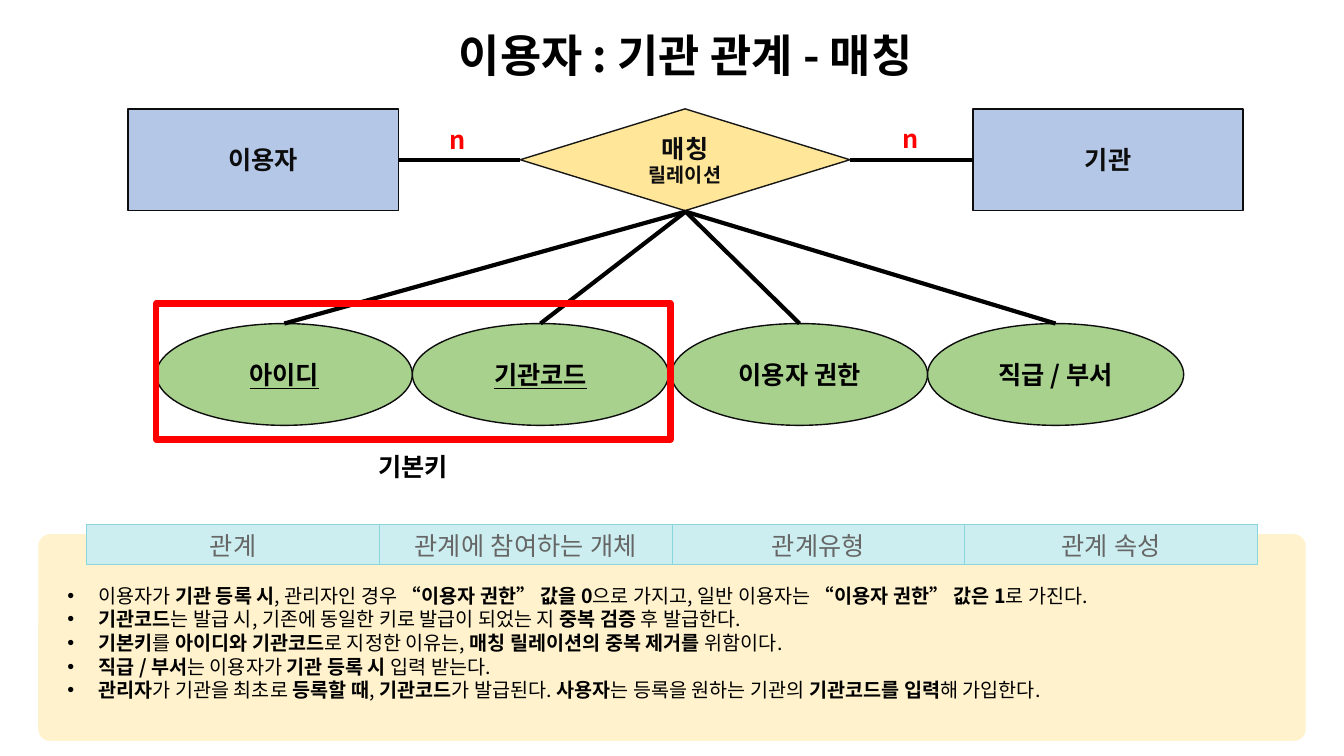
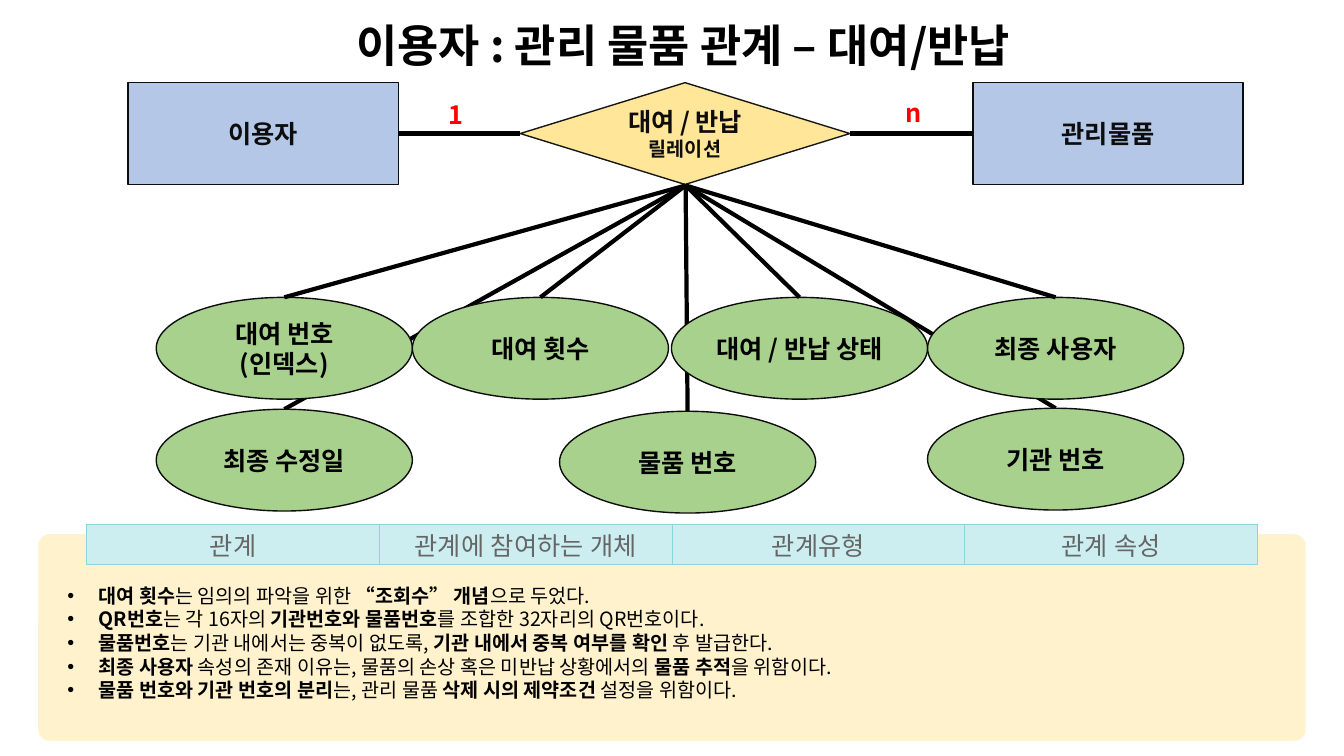
from dataclasses import dataclass

import pptx
import pptx.dml.color
import pptx.enum.shapes
import pptx.enum.text
import pptx.oxml
import pptx.oxml.ns
import pptx.util
from lxml import etree

Inches, Pt = pptx.util.Inches, pptx.util.Pt
RGB = pptx.dml.color.RGBColor
SHAPE = pptx.enum.shapes.MSO_SHAPE
ALIGN = pptx.enum.text.PP_ALIGN
ANCHOR = pptx.enum.text.MSO_ANCHOR
qn = pptx.oxml.ns.qn

# Shared style
BLACK = RGB(0x00, 0x00, 0x00)
INK = RGB(0x0D, 0x0D, 0x0D)
DIAMOND_EDGE = RGB(0x18, 0x17, 0x17)
RED = RGB(0xFF, 0x00, 0x00)
BLUE = RGB(0xB4, 0xC7, 0xE7)
YELLOW = RGB(0xFF, 0xE6, 0x99)
GREEN = RGB(0xA9, 0xD1, 0x8E)
CREAM = RGB(0xFF, 0xF2, 0xCC)
AQUA = RGB(0xCD, 0xEE, 0xF0)
AQUA_EDGE = RGB(0x89, 0xD7, 0xDC)
GREY = RGB(0x66, 0x66, 0x66)
FONT, TABLE_FONT = "Noto Sans CJK KR", "Noto Sans"
LINE_PITCH = 1.21

# Shared geometry
NODE_H = 1.01
ENTITY_W, DIAMOND_W, OVAL_W, LABEL_W = 2.68, 3.27, 2.54, 3.11
USER_X, DIAMOND_X, TARGET_X = 1.27, 5.16, 9.65
HUB_X = 6.8
OVAL_XS = (1.55, 4.09, 6.66, 9.2)
OVAL_DROP = 2.13
HEADERS = ("관계", "관계에 참여하는 개체", "관계유형", "관계 속성")


@dataclass
class Box:
    x: float
    y: float
    w: float
    h: float

    def emu(self) -> list:
        return [Inches(v) for v in (self.x, self.y, self.w, self.h)]


@dataclass
class Attribute:
    lines: tuple
    x: float
    y: float
    key: bool = False


@dataclass
class Cardinality:
    text: str
    x: float
    y: float


@dataclass
class Relation:
    title: str
    title_box: Box
    top: float
    name: str
    target: str
    cardinalities: tuple
    attributes: tuple
    notes: tuple  # bold parts stand between asterisks
    lower: tuple = ()
    key_label: str = ""


def attribute_row(top: float, *texts: str, keys: int = 0) -> tuple:
    return tuple(Attribute(tuple(t.split("\n")), x, top + OVAL_DROP, i < keys)
                 for i, (t, x) in enumerate(zip(texts, OVAL_XS)))


RELATIONS = (
    Relation(
        "이용자 : 기관 관계 - 매칭", Box(4.01, 0.22, 5.58, 0.64), 1.08, "매칭", "기관",
        (Cardinality("n", 4.36, 1.18), Cardinality("n", 8.85, 1.17)),
        attribute_row(1.08, "아이디", "기관코드", "이용자 권한", "직급 / 부서", keys=2),
        ("이용자가 *기관 등록 시*, 관리자인 경우 *“이용자 권한” 값을 0*으로 가지고, "
         "일반 이용자는 *“이용자 권한” 값은 1*로 가진다.",
         "*기관코드*는 발급 시, 기존에 동일한 키로 발급이 되었는 지 *중복 검증* 후 발급한다.",
         "*기본키*를 *아이디와 기관코드*로 지정한 이유는, *매칭 릴레이션의 중복 제거를 *위함이다.",
         "*직급 / 부서*는 이용자가 *기관 등록 시 *입력 받는다.",
         "*관리자*가 기관을 최초로 *등록할 때*, *기관코드*가 발급된다. "
         "*사용자*는 등록을 원하는 기관의 *기관코드를 입력*해 가입한다."),
        key_label="기본키",
    ),
    Relation(
        "이용자 : 관리 물품 관계 – 대여/반납", Box(2.55, 0.12, 8.45, 0.64), 0.82,
        "대여 / 반납", "관리물품",
        (Cardinality("1", 4.35, 0.93), Cardinality("n", 8.88, 0.91)),
        attribute_row(0.82, "대여 번호\n(인덱스)", "대여 횟수", "대여 / 반납 상태", "최종 사용자"),
        ("*대여 횟수*는 임의의 파악을 위한 *“조회수” 개념*으로 두었다.",
         "*QR번호*는 각 16자의 *기관번호와 물품번호*를 조합한 32자리의 QR번호이다.",
         "*물품번호*는 기관 내에서는 중복이 없도록, *기관 내에서 중복 여부를 확인 *후 발급한다.",
         "*최종 사용자* 속성의 존재 이유는, 물품의 손상 혹은 미반납 상황에서의 *물품 추적*을 위함이다.",
         "*물품 번호와 기관 번호의 분리*는, 관리 물품 *삭제 시의 제약조건* 설정을 위함이다."),
        lower=(Attribute(("최종 수정일",), 1.55, 4.06),
               Attribute(("물품 번호",), 5.55, 4.08),
               Attribute(("기관 번호",), 9.2, 4.05)),
    ),
)


# Text
def add_run(p, text: str, size: float, color: RGB, bold: bool = True,
            underline: bool = False, font: str = FONT) -> None:
    r = p.add_run()
    r.text = text
    r.font.name, r.font.size = font, Pt(size)
    r.font.bold, r.font.color.rgb = bold, color
    if underline:
        r.font.underline = True
    ea = etree.SubElement(r.font._element, qn("a:ea"))
    ea.set("typeface", font)


def next_paragraph(tf, index: int, size: float, align: ALIGN):
    p = tf.paragraphs[0] if index == 0 else tf.add_paragraph()
    p.alignment = align
    p.line_spacing = Pt(round(size * LINE_PITCH, 1))
    return p


def fill_text(tf, lines: tuple, sizes: tuple, color: RGB, align: ALIGN = ALIGN.CENTER,
              underline: bool = False) -> None:
    for i, (line, size) in enumerate(zip(lines, sizes)):
        add_run(next_paragraph(tf, i, size, align), line, size, color, underline=underline)


def add_label(s, box: Box, lines: tuple, size: float = 18, color: RGB = BLACK,
              align: ALIGN = ALIGN.CENTER, wrap: bool = True, underline: bool = False) -> None:
    tf = s.shapes.add_textbox(*box.emu()).text_frame
    tf.word_wrap = wrap
    fill_text(tf, lines, (size,) * len(lines), color, align, underline)


# Shapes
def add_node(s, kind: SHAPE, box: Box, fill: RGB | None = None, edge: RGB | None = INK,
             width: float = 1):
    sp = s.shapes.add_shape(kind, *box.emu())
    sp.shadow.inherit = False
    if fill is None:
        sp.fill.background()
    else:
        sp.fill.solid()
        sp.fill.fore_color.rgb = fill
    if edge is None:
        sp.line.fill.background()
    else:
        sp.line.color.rgb, sp.line.width = edge, Pt(width)
    return sp


def add_named_node(s, kind: SHAPE, box: Box, fill: RGB, lines: tuple,
                   edge: RGB = INK) -> None:
    tf = add_node(s, kind, box, fill, edge).text_frame
    tf.word_wrap = True
    tf.vertical_anchor = ANCHOR.MIDDLE
    fill_text(tf, lines, (18, 14), INK)


def add_line(s, x1: float, y1: float, x2: float, y2: float) -> None:
    c = s.shapes.add_connector(pptx.enum.shapes.MSO_CONNECTOR.STRAIGHT,
                               Inches(x1), Inches(y1), Inches(x2), Inches(y2))
    c.line.color.rgb, c.line.width = BLACK, Pt(3)
    etree.SubElement(c._element.spPr, qn("a:effectLst"))


def add_attributes(s, attributes: tuple) -> None:
    for a in attributes:
        add_node(s, SHAPE.OVAL, Box(a.x, a.y, OVAL_W, NODE_H), GREEN)
        h = 0.1 + 0.3 * len(a.lines)
        box = Box(a.x + (OVAL_W - LABEL_W) / 2, a.y + (NODE_H - h) / 2, LABEL_W, h)
        add_label(s, box, a.lines, underline=a.key)


def add_spokes(s, top: float, attributes: tuple) -> None:
    for a in attributes:
        add_line(s, HUB_X, top + NODE_H + 0.01, a.x + OVAL_W / 2, a.y)


# Notes panel with its header table
def add_header_table(s) -> None:
    gf = s.shapes.add_table(1, len(HEADERS), *Box(0.86, 5.2, 11.61, 0.4).emu())
    for cell, text in zip(gf.table.rows[0].cells, HEADERS):
        cell.vertical_anchor = ANCHOR.MIDDLE
        cell.margin_top, cell.margin_bottom = Inches(0.03), 0
        p = cell.text_frame.paragraphs[0]
        p.alignment = ALIGN.CENTER
        add_run(p, text, 18, GREY, bold=False, font=TABLE_FONT)
        tcPr = cell._tc.get_or_add_tcPr()
        for side in ("a:lnL", "a:lnR", "a:lnT", "a:lnB"):
            ln = etree.SubElement(tcPr, qn(side), w=str(Pt(0.6)))
            solid = etree.SubElement(ln, qn("a:solidFill"))
            etree.SubElement(solid, qn("a:srgbClr"), val=str(AQUA_EDGE))
        cell.fill.solid()
        cell.fill.fore_color.rgb = AQUA


def add_notes(s, notes: tuple) -> None:
    panel = add_node(s, SHAPE.ROUNDED_RECTANGLE, Box(0.38, 5.3, 12.57, 2.05), CREAM, None)
    panel.adjustments[0] = 0.057
    add_header_table(s)
    tf = s.shapes.add_textbox(*Box(0.57, 5.74, 12.17, 1.75).emu()).text_frame
    tf.word_wrap = True
    for i, note in enumerate(notes):
        p = next_paragraph(tf, i, 14, ALIGN.LEFT)
        pPr = p._p.get_or_add_pPr()
        pPr.set("marL", str(Inches(0.31)))
        pPr.set("indent", str(Inches(-0.31)))
        etree.SubElement(pPr, qn("a:buFont"), typeface="Arial")
        etree.SubElement(pPr, qn("a:buChar"), char="•")
        for j, part in enumerate(note.split("*")):
            if part:
                add_run(p, part, 14, BLACK, bold=j % 2 == 1)


def add_relation(prs, rel: Relation) -> None:
    s = prs.slides.add_slide(prs.slide_layouts[6])
    add_label(s, rel.title_box, (rel.title,), size=32)
    add_notes(s, rel.notes)

    # Entities and the relation between them
    top, mid = rel.top, rel.top + NODE_H / 2
    add_spokes(s, top, rel.lower)
    add_named_node(s, SHAPE.DIAMOND, Box(DIAMOND_X, top, DIAMOND_W, NODE_H), YELLOW,
                   (rel.name, "릴레이션"), DIAMOND_EDGE)
    for x, name in ((USER_X, "이용자"), (TARGET_X, rel.target)):
        add_named_node(s, SHAPE.RECTANGLE, Box(x, top, ENTITY_W, NODE_H), BLUE, (name,))
    add_line(s, USER_X + ENTITY_W, mid, DIAMOND_X, mid)
    add_line(s, DIAMOND_X + DIAMOND_W, mid, TARGET_X, mid)
    for c in rel.cardinalities:
        add_label(s, Box(c.x, c.y, 0.36, 0.4), (c.text,), color=RED,
                  align=ALIGN.LEFT, wrap=False)

    # Attributes
    add_attributes(s, rel.attributes)
    add_spokes(s, top, rel.attributes)
    add_attributes(s, rel.lower)
    if rel.key_label:
        add_node(s, SHAPE.RECTANGLE, Box(1.55, 3.01, 5.1, 1.35), edge=RED, width=4.5)
        add_label(s, Box(2.54, 4.43, LABEL_W, 0.4), (rel.key_label,))


prs = pptx.Presentation()
prs.slide_width, prs.slide_height = Inches(13.33), Inches(7.5)
for relation in RELATIONS:
    add_relation(prs, relation)
prs.save("out.pptx")
